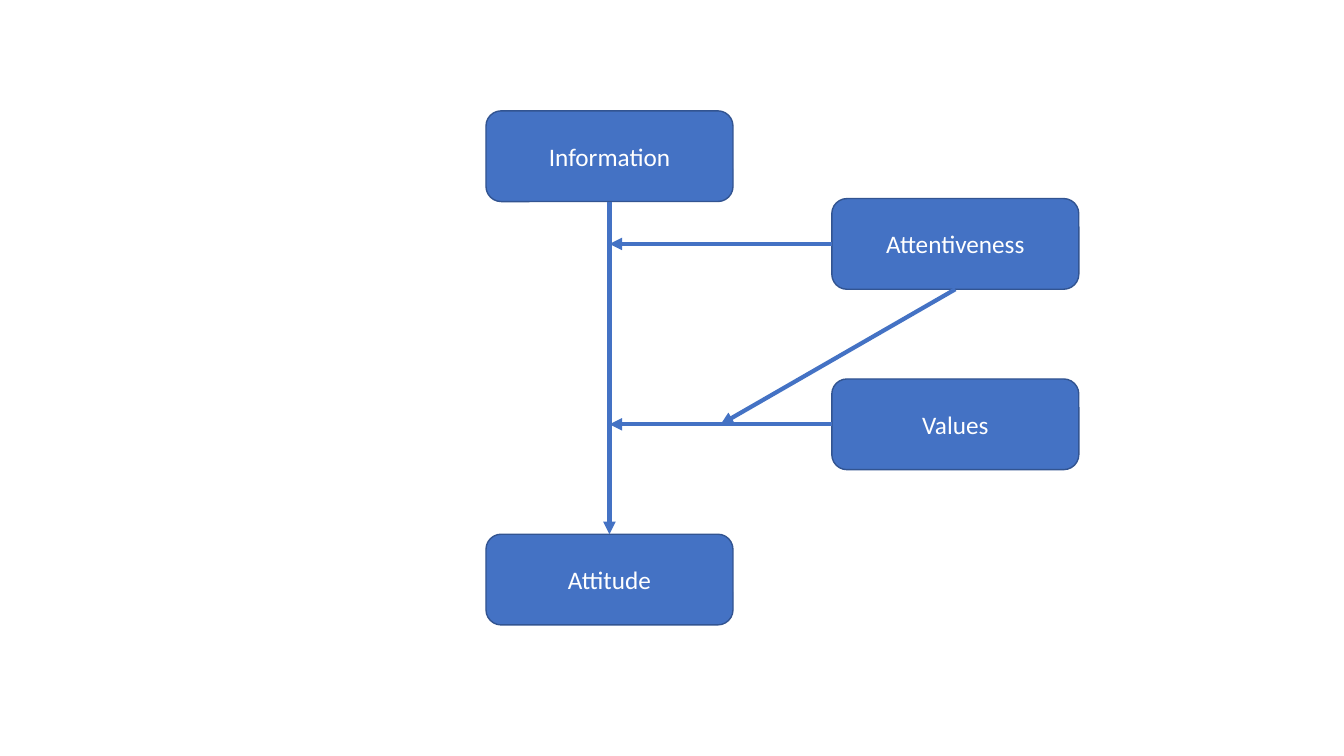
from dataclasses import dataclass

from lxml import etree
from pptx import Presentation
from pptx.dml.color import RGBColor
from pptx.enum.shapes import MSO_CONNECTOR, MSO_SHAPE
from pptx.enum.text import MSO_ANCHOR, PP_ALIGN
from pptx.oxml.ns import qn
from pptx.util import Inches, Pt

ROUNDED = MSO_SHAPE.ROUNDED_RECTANGLE
STRAIGHT = MSO_CONNECTOR.STRAIGHT
MIDDLE = MSO_ANCHOR.MIDDLE
CENTER = PP_ALIGN.CENTER
TOP, LEFT, BOTTOM = 0, 1, 2  # connection sites of a rounded rectangle


@dataclass(frozen=True)
class Theme:
    """Colours, type and line widths of the slide."""
    blue: RGBColor = RGBColor(0x44, 0x72, 0xC4)
    outline: RGBColor = RGBColor(0x32, 0x54, 0x91)
    white: RGBColor = RGBColor(0xFF, 0xFF, 0xFF)
    font: str = "Calibri"
    label_size: Pt = Pt(18)
    outline_width: Pt = Pt(1)
    arrow_width: Pt = Pt(3)


def apply_format(target, values):
    """Set each named attribute of the target."""
    for name, value in values.items():
        setattr(target, name, value)


class Diagram:
    """Draws styled elements on one slide."""

    def __init__(self, slide, theme):
        """Keep the slide and its theme."""
        self.slide = slide
        self.theme = theme

    def node(self, label, left, top, width, height):
        """Add a rounded box with a centred label."""
        theme = self.theme
        box = self.slide.shapes.add_shape(
            ROUNDED, Inches(left), Inches(top), Inches(width), Inches(height))
        box.shadow.inherit = False
        box.fill.solid()
        box.fill.fore_color.rgb = theme.blue
        box.line.color.rgb = theme.outline
        box.line.width = theme.outline_width
        box.text_frame.vertical_anchor = MIDDLE
        para = box.text_frame.paragraphs[0]
        para.alignment = CENTER
        span = para.add_run()
        span.text = label
        apply_format(span.font, {"name": theme.font, "size": theme.label_size})
        span.font.color.rgb = theme.white
        return box

    def arrow(self, source, site, end_x=0, end_y=0, target=None):
        """Add an arrow from a box side to a point or to the top of a box."""
        line = self.slide.shapes.add_connector(
            STRAIGHT, 0, 0, Inches(end_x), Inches(end_y))
        line.begin_connect(source, site)
        if target is not None:
            line.end_connect(target, TOP)
        line.line.color.rgb = self.theme.blue
        line.line.width = self.theme.arrow_width
        outline = line.line._get_or_add_ln()
        etree.SubElement(outline, qn("a:tailEnd"), type="triangle")
        etree.SubElement(line._element.spPr, qn("a:effectLst"))


def main():
    """Build and save the slide."""
    deck = Presentation()
    apply_format(deck, {"slide_width": Inches(13.33), "slide_height": Inches(7.5)})
    diagram = Diagram(deck.slides.add_slide(deck.slide_layouts[6]), Theme())

    width, height = 2.45, 0.9
    main_left, moderator_left = 4.82, 8.25
    layout = {
        "Information": (main_left, 1.1),
        "Attitude": (main_left, 5.3),
        "Values": (moderator_left, 3.76),
        "Attentiveness": (moderator_left, 1.97),
    }
    nodes = {label: diagram.node(label, left, top, width, height)
             for label, (left, top) in layout.items()}

    main_axis = main_left + width / 2
    diagram.arrow(nodes["Information"], BOTTOM, target=nodes["Attitude"])
    for label in ("Attentiveness", "Values"):
        diagram.arrow(nodes[label], LEFT, main_axis, layout[label][1] + height / 2)

    values_axis = layout["Values"][1] + height / 2
    midpoint = (main_axis + moderator_left) / 2
    diagram.arrow(nodes["Attentiveness"], BOTTOM, midpoint, values_axis)

    deck.save("out.pptx")


main()
